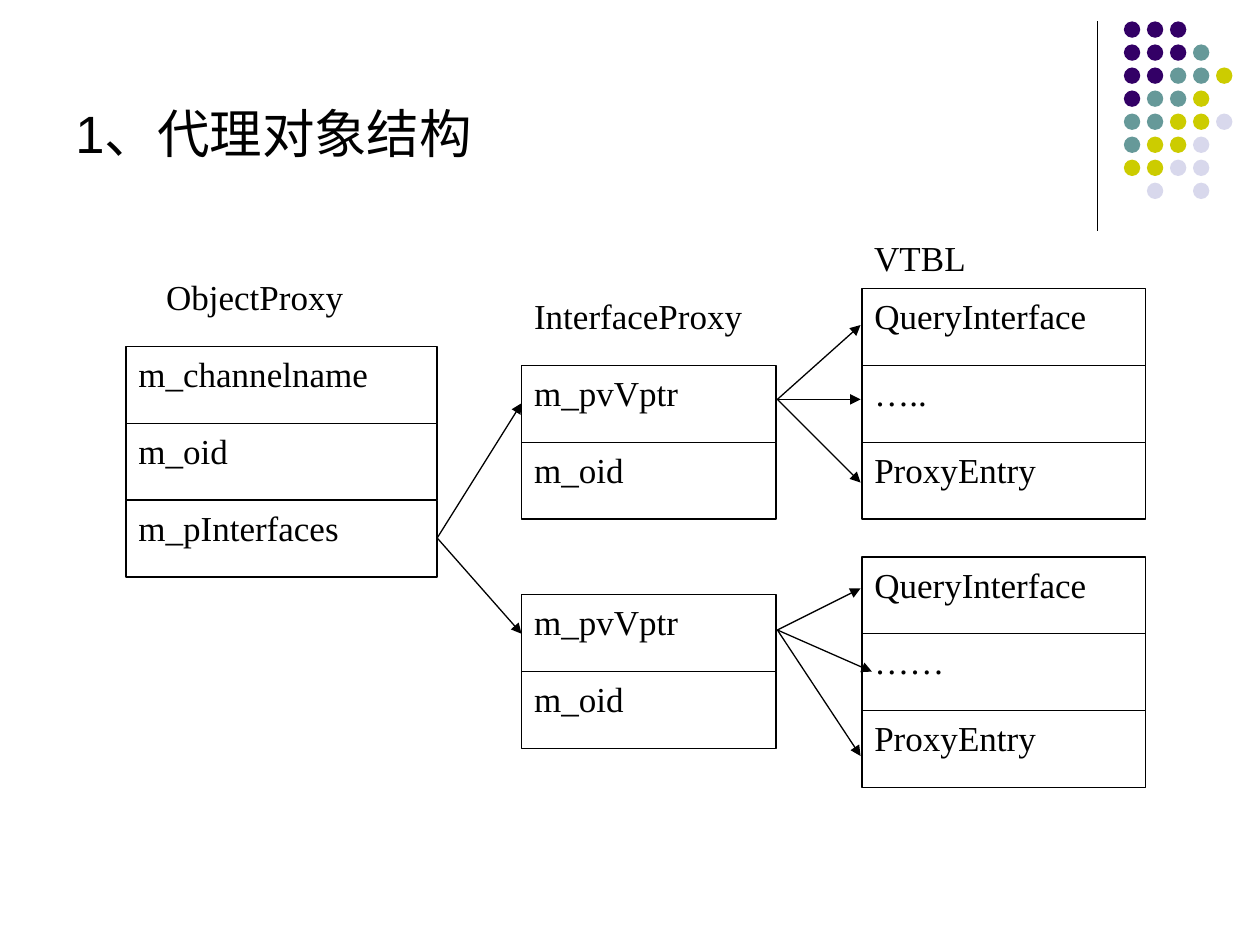
from lxml import etree
from pptx import Presentation
from pptx import util as u
from pptx.dml.color import RGBColor
from pptx.enum import shapes, text
from pptx.oxml.ns import qn

COLORS = {
    "ink": "000000",
    "paper": "FFFFFF",
    "purple": "330066",
    "teal": "669999",
    "lime": "CCCC00",
    "lilac": "D8D8EC",
}
DOT_KEYS = {"P": "purple", "T": "teal", "L": "lime", "V": "lilac"}
DOT_ROWS = ["PPP", "PPPT", "PPTTL", "PTTL", "TTLLV", "TLLV", "LLVV", " V V"]
DOT_STEP = 1.28 / 7
ROW_H = 0.61


class Diagram:
    """Holds the shared style and the slide being drawn."""
    font = "Times New Roman"
    size = 20
    line_width = 0.75

    def __init__(self, slide):
        self.s = slide

    def color(self, name):
        return RGBColor.from_string(COLORS[name])

    def set_text(self, sp, words, size=None, font=None, align=text.PP_ALIGN.JUSTIFY):
        tf = sp.text_frame
        tf.word_wrap = True
        tf.vertical_anchor = text.MSO_ANCHOR.TOP
        p = tf.paragraphs[0]
        p.text = words
        p.alignment = align
        p.font.size = u.Pt(size or self.size)
        p.font.name = font or self.font
        p.font.color.rgb = self.color("ink")

    def shape(self, kind, x, y, w, h, fill, outline=False):
        sp = self.s.shapes.add_shape(
            kind, u.Inches(x), u.Inches(y), u.Inches(w), u.Inches(h))
        sp.shadow.inherit = False
        sp.fill.solid()
        sp.fill.fore_color.rgb = self.color(fill)
        if outline:
            sp.line.color.rgb = self.color("ink")
            sp.line.width = u.Pt(self.line_width)
        else:
            sp.line.fill.background()
        return sp

    def dot(self, x, y, fill):
        self.shape(shapes.MSO_SHAPE.OVAL, x, y, 0.13, 0.13, fill)

    def label(self, words, x, y, w, h, **style):
        sp = self.s.shapes.add_textbox(
            u.Inches(x), u.Inches(y), u.Inches(w), u.Inches(h))
        self.set_text(sp, words, **style)

    def record(self, x, y, w, fields):
        """Stack one outlined cell per field, downwards from y."""
        for i, field in enumerate(fields):
            sp = self.shape(shapes.MSO_SHAPE.RECTANGLE, x, y + i * ROW_H,
                            w, ROW_H, "paper", outline=True)
            self.set_text(sp, field)

    def line(self, start, end, arrow=False):
        c = self.s.shapes.add_connector(
            shapes.MSO_CONNECTOR.STRAIGHT,
            *(u.Inches(v) for v in (*start, *end)))
        c.line.color.rgb = self.color("ink")
        c.line.width = u.Pt(self.line_width)
        props = c.element.spPr
        if arrow:
            etree.SubElement(props.find(qn("a:ln")), qn("a:tailEnd"), type="triangle")
        etree.SubElement(props, qn("a:effectLst"))

    def fan(self, start, ends):
        """Draw arrows from one start to several ends."""
        for end in ends:
            self.line(start, end, arrow=True)


def main():
    prs = Presentation()
    prs.slide_width, prs.slide_height = u.Inches(10), u.Inches(7.5)
    d = Diagram(prs.slides.add_slide(prs.slide_layouts[6]))

    d.line((8.71, 0.17), (8.71, 1.83))
    for row, keys in enumerate(DOT_ROWS):
        for col, key in enumerate(keys):
            if key in DOT_KEYS:
                d.dot(8.92 + col * DOT_STEP, 0.17 + row * DOT_STEP, DOT_KEYS[key])

    d.label("1、代理对象结构", 0.5, 0.75, 9, 5.95,
            size=30, font="Arial", align=text.PP_ALIGN.LEFT)

    d.record(1, 2.75, 2.47, ["m_channelname", "m_oid", "m_pInterfaces"])
    for y, dots in ((2.29, "….."), (4.42, "……")):
        d.record(6.84, y, 2.25, ["QueryInterface", dots, "ProxyEntry"])
    for y in (2.9, 4.72):
        d.record(4.14, y, 2.02, ["m_pvVptr", "m_oid"])

    d.label("ObjectProxy", 1.22, 2.14, 1.8, 0.46)
    d.label("InterfaceProxy", 4.14, 2.29, 2.02, 0.46)
    d.label("VTBL", 6.84, 1.83, 1.8, 0.38)

    d.fan((3.47, 4.27), [(4.14, 3.2), (4.14, 5.03)])
    d.fan((6.17, 3.17), [(6.83, 2.58), (6.83, 3.17), (6.83, 3.83)])
    d.fan((6.17, 5), [(6.83, 4.67), (6.92, 5.33), (6.83, 6)])

    prs.save("out.pptx")


if __name__ == "__main__":
    main()
